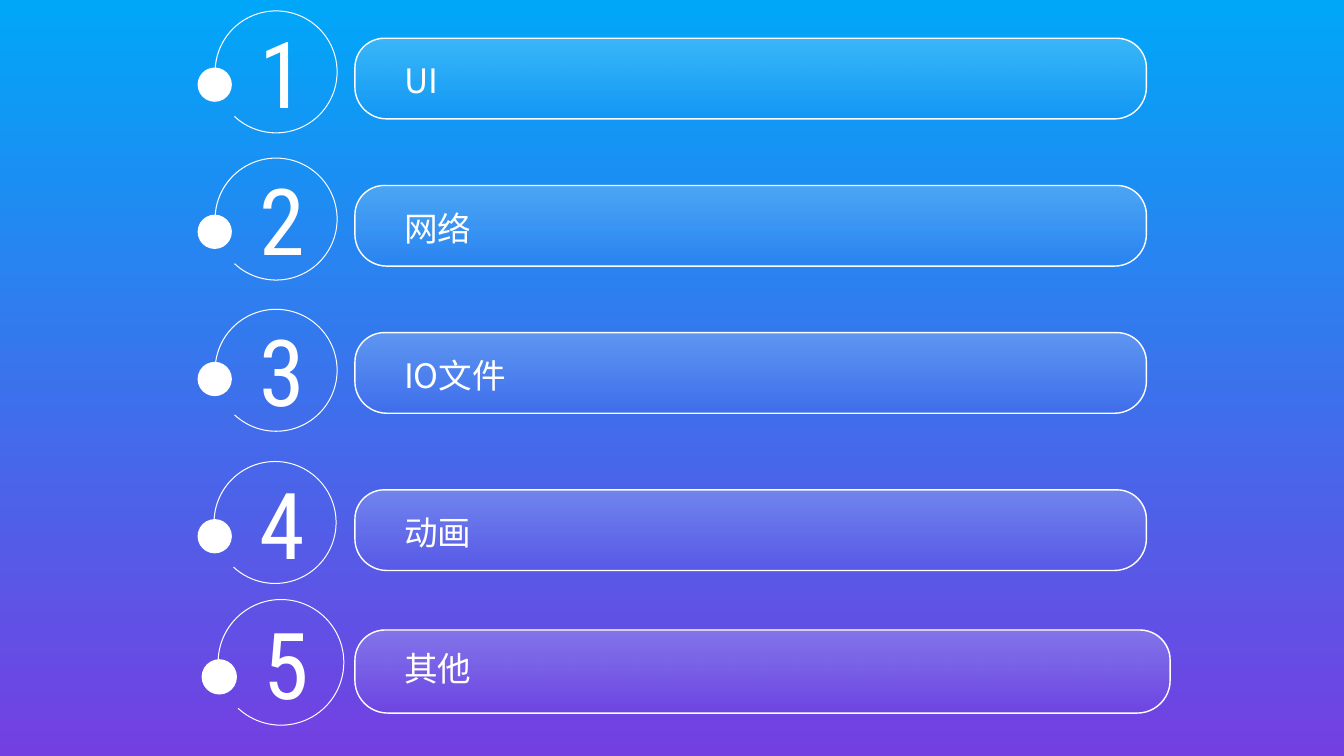
import math
from lxml import etree
from pptx import Presentation, util as u
from pptx.dml.color import RGBColor
from pptx.enum import shapes, text
from pptx.oxml.ns import qn

# label, bar top, ring left, ring top, label drop, label width, row scale, row shift
AGENDA = [
    ("UI", 0.38, 2.14, 0.11, 0.17, 6.78, 1, 0),
    ("网络", 1.84, 2.14, 1.57, 0.17, 6.78, 1, 0),
    ("IO文件", 3.30, 2.14, 3.07, 0.17, 6.78, 1, 0),
    ("动画", 4.86, 2.13, 4.58, 0.17, 4.67, 1, 0),
    ("其他", 6.25, 2.17, 5.95, 0.13, 4.67, 1.03, 0.04),
]
THEME = {
    "white": RGBColor.from_string("FFFFFF"),
    "sky": RGBColor.from_string("00A7F8"),
    "violet": RGBColor.from_string("743FE1"),
    "label": {"name": "Noto Sans CJK SC", "size": u.Pt(24)},
    "number": {"name": "Roboto Condensed", "size": u.Pt(66)},
}
COLUMNS = {"dot": 1.96, "number": 2.48, "bar": 3.52, "label": 3.91}
BAR_SIZE, DOT_SIZE, NUMBER_SIZE = (7.85, 0.8), 0.34, (0.67, 1.21)
DOT_DROP, LABEL_HEIGHT = 0.29, 0.5
RING_RADIUS, RING_WEIGHT, RING_TURN = 0.61, 0.01, 60
RING_ARC = (107, 180, 270, 360, 433)


def fade(fill, colors, opacities=(100, 100)):
    """Fill from top to bottom with two colours, each at its own opacity."""
    fill.gradient()
    fill.gradient_angle = 270
    for stop, color, opacity in zip(fill.gradient_stops, colors, opacities):
        stop.color.rgb = color
        if opacity < 100:
            etree.SubElement(stop._gs.find(qn("a:srgbClr")), qn("a:alpha"),
                             val=str(opacity * 1000))


def paint_white(shape):
    shape.shadow.inherit = False
    shape.fill.solid()
    shape.fill.fore_color.rgb = THEME["white"]
    shape.line.fill.background()


def add_bar(slide, left, top, width, height):
    bar = slide.shapes.add_shape(shapes.MSO_SHAPE.ROUND_2_SAME_RECTANGLE,
                                 *map(u.Inches, (left, top, width, height)))
    bar.adjustments[0], bar.adjustments[1] = 0.365, 0.395
    bar.shadow.inherit = False
    fade(bar.fill, [THEME["white"]] * 2, (22, 0))
    bar.line.color.rgb = THEME["white"]
    bar.line.width = u.Pt(1)


def add_ring(slide, left, top, radius):
    """Draw a thin open ring as a filled band, its gap turned to the lower left."""
    outer, inner = u.Inches(radius), u.Inches(radius - RING_WEIGHT)
    turns = [(outer, a) for a in RING_ARC] + [(inner, a) for a in reversed(RING_ARC)]
    points = [(size * math.cos(math.radians(a)), size * math.sin(math.radians(a)))
              for size, a in turns]
    builder = slide.shapes.build_freeform(*points[0])
    builder.add_line_segments(points[1:], close=True)
    ring = builder.convert_to_shape()

    # Bend every side of the outline except the short end between the two edges
    sides = list(ring._element.iter(qn("a:lnTo")))
    for side, (_, start), (size, end) in zip(sides, turns, turns[1:]):
        if start != end:
            bend = etree.Element(qn("a:arcTo"), wR=str(size), hR=str(size),
                                 stAng=str(start % 360 * 60000),
                                 swAng=str((end - start) * 60000))
            side.getparent().replace(side, bend)

    ring.left, ring.top, ring.rotation = u.Inches(left), u.Inches(top), RING_TURN
    paint_white(ring)


def add_dot(slide, left, top, size):
    dot = slide.shapes.add_shape(shapes.MSO_SHAPE.OVAL,
                                 *map(u.Inches, (left, top, size, size)))
    paint_white(dot)


def add_text(slide, words, style, *box):
    frame = slide.shapes.add_textbox(*map(u.Inches, box)).text_frame
    frame.word_wrap = True
    frame.auto_size = text.MSO_AUTO_SIZE.SHAPE_TO_FIT_TEXT
    run = frame.paragraphs[0].add_run()
    run.text = words
    for name, value in THEME[style].items():
        setattr(run.font, name, value)
    run.font.color.rgb = THEME["white"]
    etree.SubElement(run.font._element, qn("a:ea"), typeface=THEME[style]["name"])


def main():
    presentation = Presentation()
    presentation.slide_width, presentation.slide_height = u.Inches(13.33), u.Inches(7.5)
    slide = presentation.slides.add_slide(presentation.slide_layouts[6])
    fade(slide.background.fill, (THEME["sky"], THEME["violet"]))

    for number, row in enumerate(AGENDA, 1):
        label, bar_top, ring_left, ring_top, label_drop, label_width, scale, shift = row
        add_bar(slide, COLUMNS["bar"], bar_top, *(scale * side for side in BAR_SIZE))
        add_ring(slide, ring_left, ring_top, RING_RADIUS * scale)
        add_dot(slide, COLUMNS["dot"] + shift, bar_top + DOT_DROP, DOT_SIZE * scale)
        add_text(slide, label, "label", COLUMNS["label"], bar_top + label_drop,
                 label_width, LABEL_HEIGHT)
        add_text(slide, str(number), "number", COLUMNS["number"] + shift,
                 ring_top + shift / 2, *NUMBER_SIZE)

    presentation.save("out.pptx")


if __name__ == "__main__":
    main()
